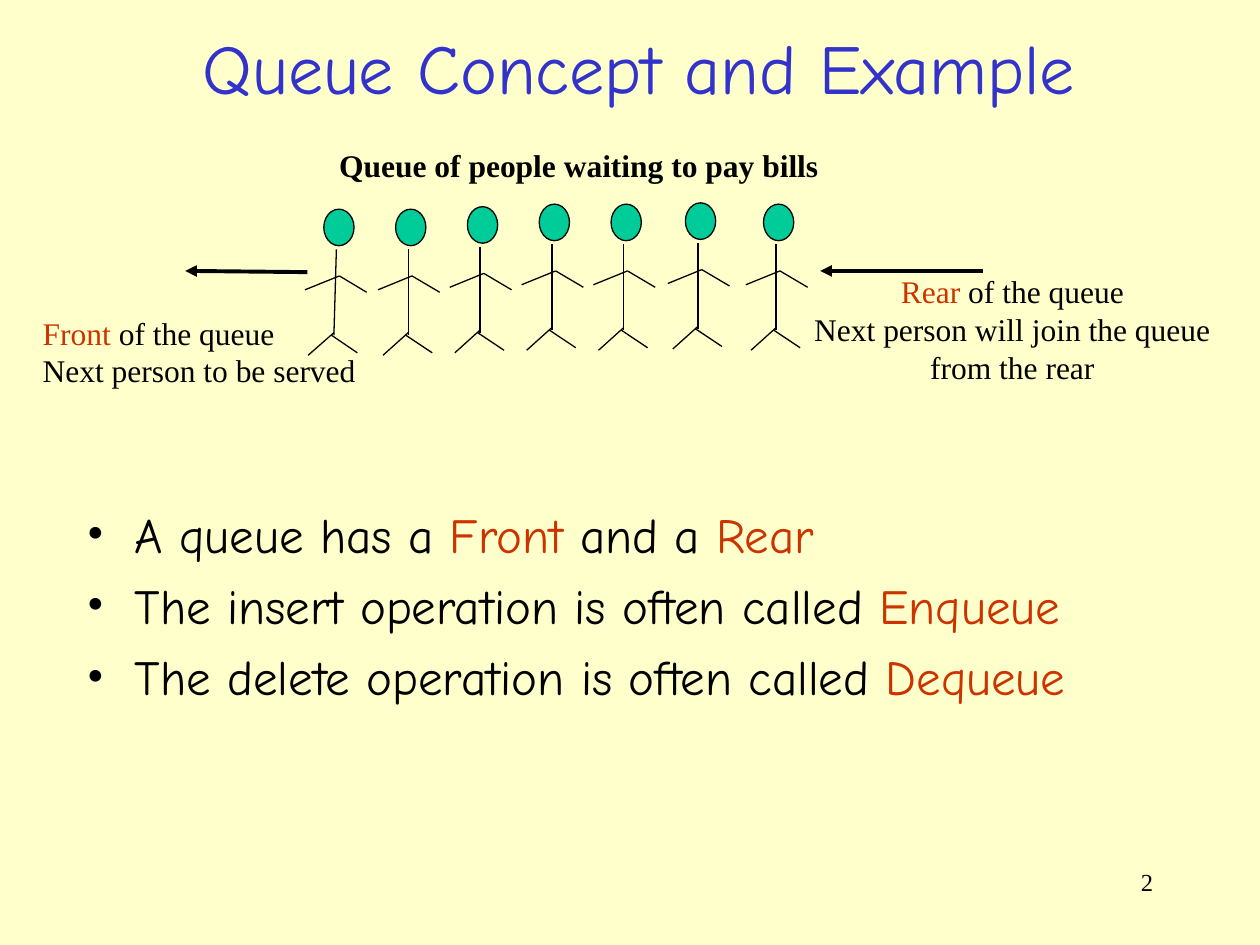
from lxml.etree import SubElement
from pptx import Presentation
from pptx.dml.color import RGBColor
from pptx.enum.shapes import MSO_CONNECTOR as Connector, MSO_SHAPE as Shape
from pptx.enum.text import MSO_ANCHOR as Anchor, MSO_AUTO_SIZE as AutoSize, PP_ALIGN as Align
from pptx.oxml.ns import qn
from pptx.util import Inches, Pt

CREAM = RGBColor(0xFF, 0xFF, 0xCC)
BLUE = RGBColor(0x33, 0x33, 0xCC)
RED = RGBColor(0xCC, 0x33, 0x00)
GREEN = RGBColor(0x00, 0xCC, 0x99)
BLACK = RGBColor(0, 0, 0)
HEADING_FONT = "Comic Neue"
LABEL_FONT = "Times New Roman"

TITLE = "Queue Concept and Example"
# Each paragraph is a list of (text, colour) runs.
BULLETS = [
    [("A queue has a ", BLACK), ("Front", RED), (" and a ", BLACK), ("Rear", RED)],
    [("The insert operation is often called ", BLACK), ("Enqueue", RED)],
    [("The delete operation is often called ", BLACK), ("Dequeue", RED)],
]
# box, alignment, size, bold, wrap, paragraphs
LABELS = [
    ((7.17, 6.83, 2.08, 0.5), Align.RIGHT, 14, False, True, [[("2", BLACK)]]),
    ((0.24, 2.44, 2.72, 0.7), Align.LEFT, 18, False, False, [
        [("Front", RED), (" of the queue", BLACK)],
        [("Next person to be served", BLACK)],
    ]),
    ((6.28, 2.11, 3.51, 1), Align.CENTER, 18, False, True, [
        [("Rear", RED), (" of the queue", BLACK)],
        [("Next person will join the queue", BLACK)],
        [("from the rear", BLACK)],
    ]),
    ((2.57, 1.11, 4.05, 0.4), Align.CENTER, 18, True, False, [
        [("Queue of people waiting to pay bills", BLACK)],
    ]),
]
# Neck x, neck y, and how far the hips lean to the left.
PEOPLE = [(2.67, 1.98, 0.02), (3.24, 1.98, 0), (3.81, 1.96, 0), (4.38, 1.94, 0),
          (4.95, 1.94, 0), (5.54, 1.93, 0), (6.16, 1.94, 0)]
# Start and end of each limb, measured from the neck.
LIMBS = [
    ((-0.24, 0.32), (0.03, 0.21)),
    ((0, 0), (0, 0.68)),
    ((0.03, 0.21), (0.25, 0.34)),
    ((0, 0.66), (-0.2, 0.84)),
    ((-0.02, 0.68), (0.19, 0.82)),
]
TORSO = 0.68
HEAD = (-0.1, -0.32, 0.24, 0.29)
ARROWS = [((2.44, 2.16), (1.47, 2.15)), ((7.8, 2.15), (6.51, 2.15))]


def place(shape, box):
    shape.left, shape.top, shape.width, shape.height = map(Inches, box)


def add_line(shapes, start, end, width, arrow=False):
    line = shapes.add_connector(Connector.STRAIGHT, *map(Inches, (*start, *end)))
    line.line.color.rgb = BLACK
    line.line.width = Pt(width)
    properties = line._element.spPr
    if arrow:
        SubElement(properties.find(qn("a:ln")), qn("a:tailEnd"), type="triangle")
    SubElement(properties, qn("a:effectLst"))


def add_person(shapes, x, y, lean):
    person = shapes.add_group_shape().shapes
    for limb in LIMBS:
        start, end = [(x + dx - lean * dy / TORSO, y + dy) for dx, dy in limb]
        add_line(person, start, end, 0.75)
    dx, dy, width, height = HEAD
    head = person.add_shape(Shape.OVAL, *map(Inches, (x + dx, y + dy, width, height)))
    head.shadow.inherit = False
    head.fill.solid()
    head.fill.fore_color.rgb = GREEN
    head.line.color.rgb = BLACK
    head.line.width = Pt(0.75)


def fill_paragraphs(frame, paragraphs, font, size, align=Align.LEFT, bold=False, bullet=False):
    for index, runs in enumerate(paragraphs):
        paragraph = frame.paragraphs[0] if index == 0 else frame.add_paragraph()
        paragraph.alignment = align
        paragraph.space_before = Pt(7 if bullet and index else 0)
        if bullet:
            add_bullet(paragraph)
        paragraph.font.name = font
        paragraph.font.size = Pt(size)
        paragraph.font.bold = bold
        for text, color in runs:
            run = paragraph.add_run()
            run.text = text
            run.font.color.rgb = color


def add_bullet(paragraph):
    properties = paragraph._p.get_or_add_pPr()
    properties.set("marL", str(Inches(0.38)))
    properties.set("indent", str(Inches(-0.38)))
    color = SubElement(properties, qn("a:buClr"))
    SubElement(color, qn("a:srgbClr"), val=str(BLACK))
    SubElement(properties, qn("a:buFont"), typeface=LABEL_FONT)
    SubElement(properties, qn("a:buChar"), char="•")


def main():
    presentation = Presentation()
    presentation.slide_width, presentation.slide_height = Inches(10), Inches(7.5)
    slide = presentation.slides.add_slide(presentation.slide_layouts[1])
    slide.background.fill.solid()
    slide.background.fill.fore_color.rgb = CREAM

    title, body = slide.placeholders
    place(title, (0.3, 0.15, 9.54, 0.76))
    title.text_frame.vertical_anchor = Anchor.MIDDLE
    title.text_frame.auto_size = AutoSize.NONE
    fill_paragraphs(title.text_frame, [[(TITLE, BLUE)]], HEADING_FONT, 40, Align.CENTER)

    place(body, (0.59, 3.95, 8.89, 1.81))
    body.text_frame.auto_size = AutoSize.NONE
    fill_paragraphs(body.text_frame, BULLETS, HEADING_FONT, 28, bullet=True)

    for person in PEOPLE:
        add_person(slide.shapes, *person)
    for start, end in ARROWS:
        add_line(slide.shapes, start, end, 2.25, arrow=True)
    for box, align, size, bold, wrap, paragraphs in LABELS:
        frame = slide.shapes.add_textbox(*map(Inches, box)).text_frame
        frame.word_wrap = wrap
        frame.auto_size = AutoSize.NONE if wrap else AutoSize.SHAPE_TO_FIT_TEXT
        fill_paragraphs(frame, paragraphs, LABEL_FONT, size, align, bold)

    presentation.save("out.pptx")


if __name__ == "__main__":
    main()
